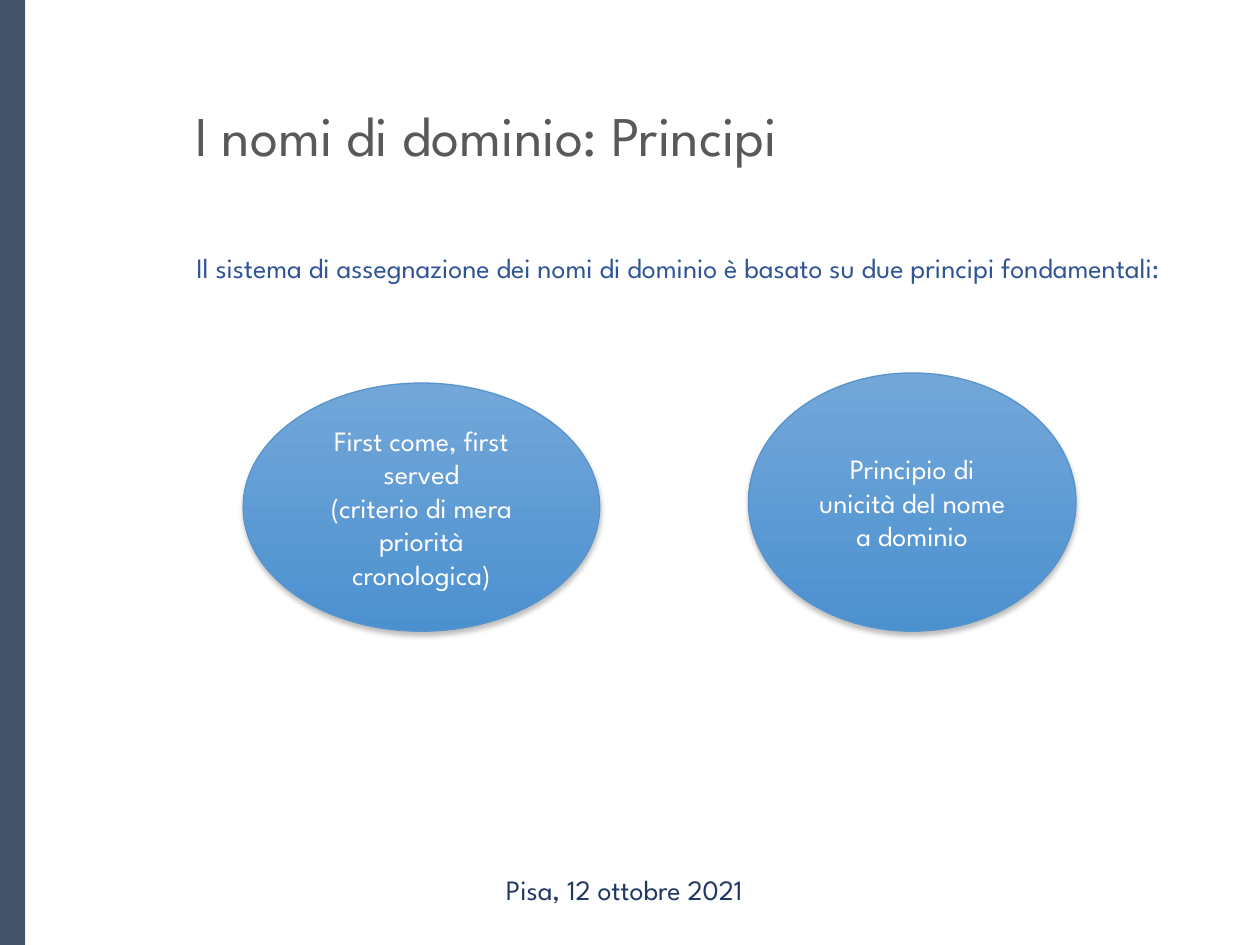
from lxml import etree
from pptx import Presentation
from pptx import util as u
from pptx.dml.color import RGBColor
from pptx.enum import shapes, text
from pptx.oxml import parse_xml
from pptx.oxml.ns import nsdecls

FONT = "League Spartan"
SLATE = RGBColor(0x44, 0x54, 0x6A)
GREY = RGBColor(0x59, 0x59, 0x59)
BLUE = RGBColor(0x2F, 0x55, 0x97)
NAVY = RGBColor(0x20, 0x38, 0x64)
WHITE = RGBColor(0xFF, 0xFF, 0xFF)
GRADIENT = (RGBColor(0x73, 0xA7, 0xDA), RGBColor(0x4C, 0x91, 0xCF))
OUTLINE = RGBColor(0x57, 0x94, 0xCB)

# Content; boxes are left, top, width, height in inches
WIDTH, HEIGHT = 10, 7.5
BAR_WIDTH = 0.02 * WIDTH
TITLE = ("I nomi di dominio: Principi", (1.45, 0.75, 7.5, 0.95))
INTRO = ("Il sistema di assegnazione dei nomi di dominio è basato su due principi fondamentali:",
         (1.46, 1.94, 7.88, 4.13))
FOOTER = ("Pisa, 12 ottobre 2021", (2.66, 6.69, 4.59, 0.73))
PRINCIPLES_BOTTOM = 5.01
PRINCIPLES = [  # left, width, height, paragraphs
    (1.93, 2.83, 1.97, ["First come, first served", "(criterio di mera priorità cronologica)"]),
    (5.94, 2.6, 2.05, ["Principio di unicità del nome a dominio"]),
]


def inches(box):
    return [u.Inches(value) for value in box]


def write(shape, paragraphs, color, size=16, align=text.PP_ALIGN.CENTER,
          anchor=text.MSO_ANCHOR.MIDDLE):
    frame = shape.text_frame
    frame.word_wrap = True
    frame.auto_size = text.MSO_AUTO_SIZE.NONE
    frame.vertical_anchor = anchor
    for index, words in enumerate(paragraphs):
        paragraph = frame.add_paragraph() if index else frame.paragraphs[0]
        paragraph.alignment = align
        run = paragraph.add_run()
        run.text = words
        run.font.name = FONT
        run.font.size = u.Pt(size)
        run.font.color.rgb = color


def add_soft_shadow(shape):
    shape.shadow.inherit = False
    effects = shape.element.spPr.find("{*}effectLst")
    effects.append(parse_xml(
        f'<a:outerShdw {nsdecls("a")} blurRad="{u.Pt(3)}" dist="{u.Pt(2)}" dir="5400000" '
        'rotWithShape="0"><a:srgbClr val="000000"><a:alpha val="25000"/></a:srgbClr>'
        '</a:outerShdw>'))


def add_principle(slide, left, width, height, paragraphs):
    box = (left, PRINCIPLES_BOTTOM - height, width, height)
    ellipse = slide.shapes.add_shape(shapes.MSO_SHAPE.OVAL, *inches(box))
    ellipse.fill.gradient()
    ellipse.fill.gradient_angle = 270
    for stop, color in zip(ellipse.fill.gradient_stops, GRADIENT):
        stop.color.rgb = color
    ellipse.line.color.rgb = OUTLINE
    ellipse.line.width = u.Pt(0.75)
    add_soft_shadow(ellipse)
    write(ellipse, paragraphs, WHITE)


def main():
    presentation = Presentation()
    presentation.slide_width, presentation.slide_height = inches((WIDTH, HEIGHT))
    slide = presentation.slides.add_slide(presentation.slide_layouts[5])

    # Side bar
    bar = slide.shapes.add_shape(shapes.MSO_SHAPE.RECTANGLE, *inches((0, 0, BAR_WIDTH, HEIGHT)))
    bar.shadow.inherit = False
    bar.fill.solid()
    bar.fill.fore_color.rgb = SLATE
    bar.line.fill.background()

    # Title
    title = slide.shapes.title
    words, box = TITLE
    title.left, title.top, title.width, title.height = inches(box)
    write(title, [words], GREY, 32, text.PP_ALIGN.LEFT, text.MSO_ANCHOR.TOP)

    # Introduction and footer
    words, box = INTRO
    write(slide.shapes.add_textbox(*inches(box)), [words], BLUE,
          align=text.PP_ALIGN.LEFT, anchor=text.MSO_ANCHOR.TOP)
    words, box = FOOTER
    write(slide.shapes.add_textbox(*inches(box)), [words], NAVY)

    # Two principles
    for principle in PRINCIPLES:
        add_principle(slide, *principle)

    presentation.save("out.pptx")


if __name__ == "__main__":
    main()
